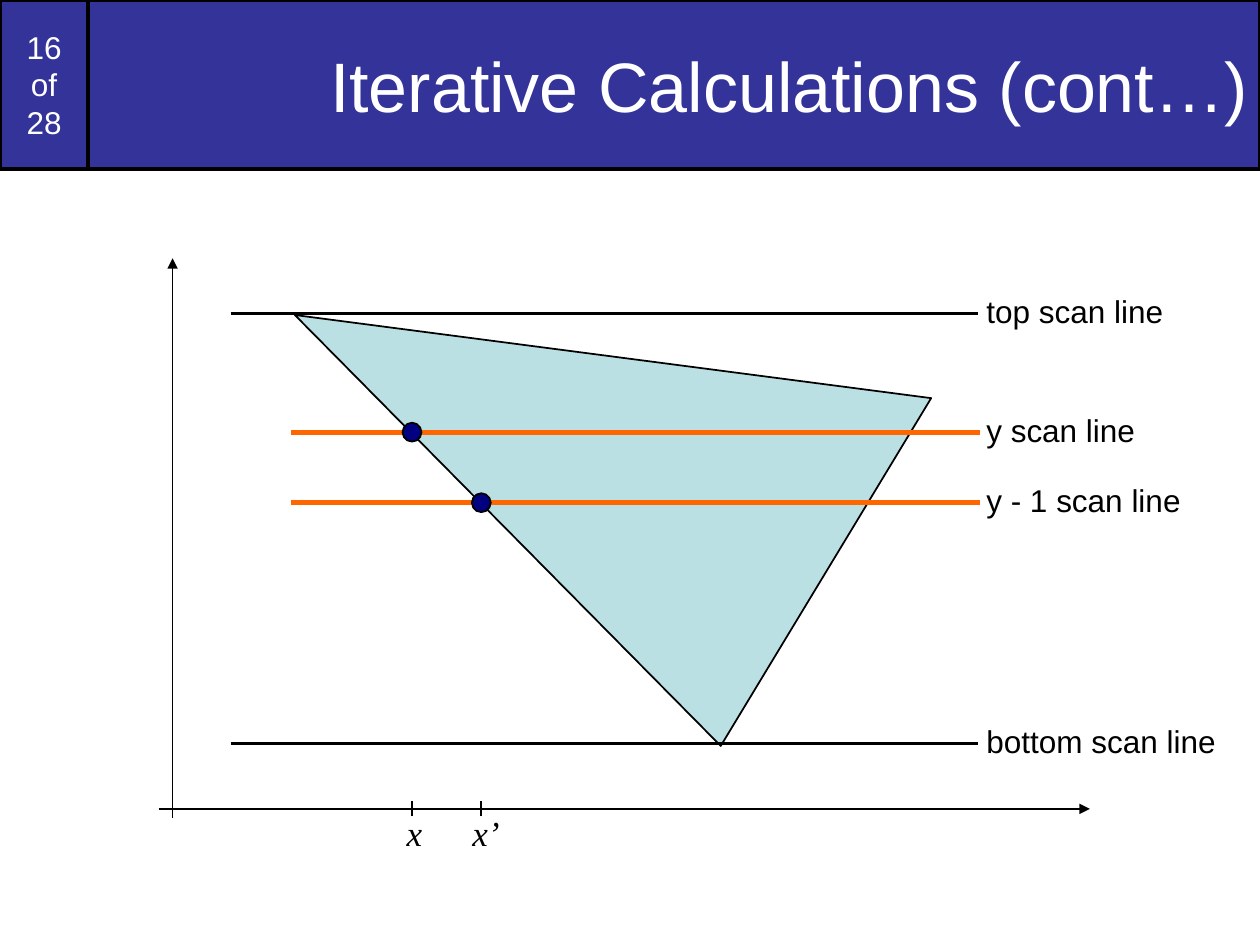
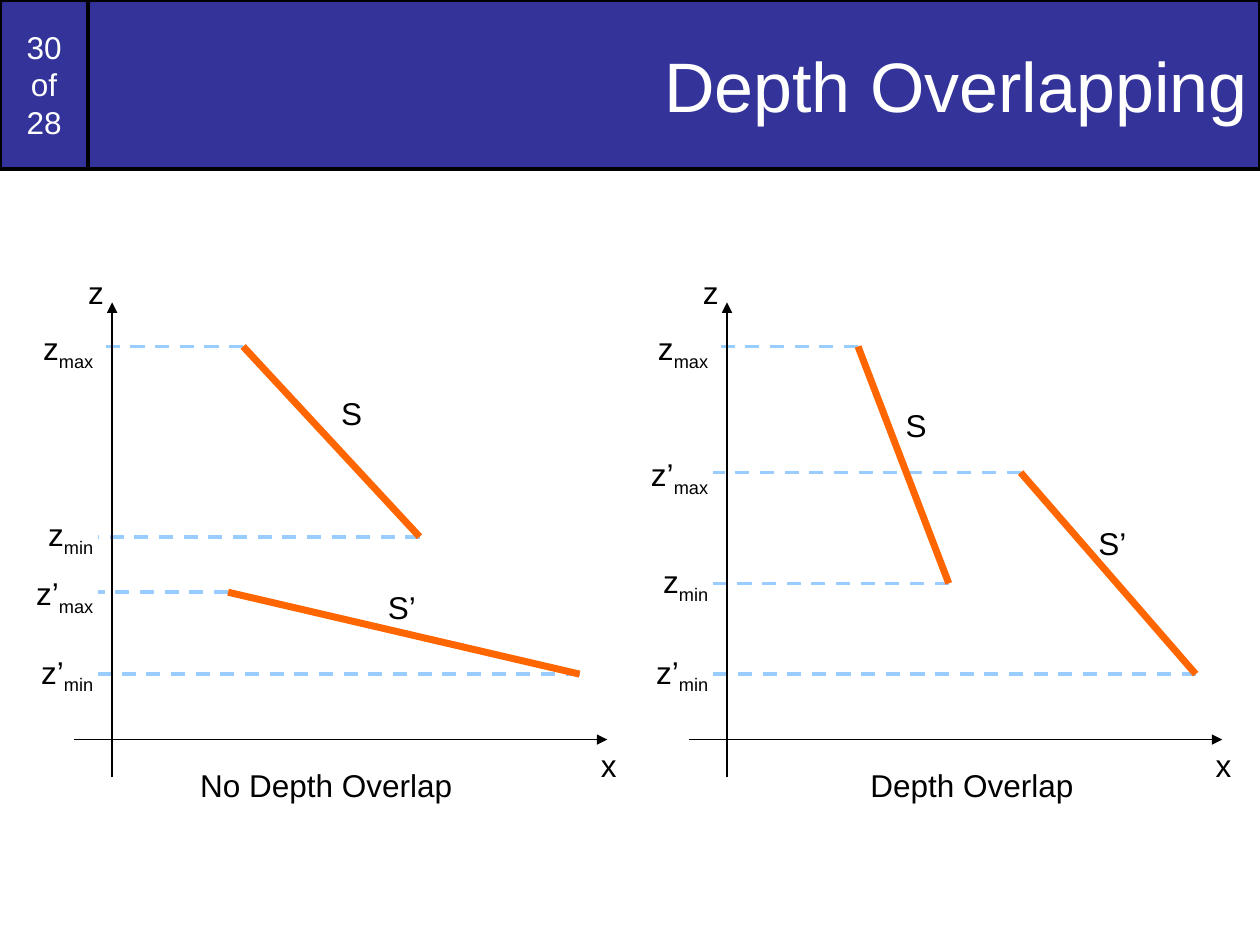
from lxml import etree
from pptx import Presentation
from pptx.dml.color import RGBColor
from pptx.enum.dml import MSO_LINE
from pptx.enum.shapes import MSO_CONNECTOR, MSO_SHAPE
from pptx.enum.text import MSO_ANCHOR, MSO_AUTO_SIZE, PP_ALIGN
from pptx.oxml.ns import qn
from pptx.util import Inches, Pt

STRAIGHT = MSO_CONNECTOR.STRAIGHT
RECTANGLE, OVAL = MSO_SHAPE.RECTANGLE, MSO_SHAPE.OVAL
LEFT, CENTER, RIGHT = PP_ALIGN.LEFT, PP_ALIGN.CENTER, PP_ALIGN.RIGHT
MIDDLE = MSO_ANCHOR.MIDDLE
NO_AUTOFIT = MSO_AUTO_SIZE.NONE
DASH = MSO_LINE.DASH

COLORS = {name: RGBColor.from_string(value) for name, value in {
    "band": "333399", "white": "FFFFFF", "black": "000000",
    "triangle": "BBE0E3", "point": "000080",
    "orange": "FF6600", "guide": "99CCFF"}.items()}

LABEL_FONT = {"name": "Arial", "size": Pt(18)}
TITLE_FONT = {"name": "Arial", "size": Pt(40)}
MATH_FONT = {"name": "Times New Roman", "size": Pt(20), "italic": True}

presentation = Presentation()
presentation.slide_width = Inches(10)
presentation.slide_height = Inches(7.5)
TITLE_ONLY = presentation.slide_layouts[5]

# The slide is a grid of 100 columns by 75 rows of square cells
CELL = presentation.slide_width // 100
BAND_HEIGHT = 13.4
PAGE_WIDTH = 7


def add_line(slide, start, end, color, width, dash=None, arrow=False):
    points = [round(value * CELL) for value in (*start, *end)]
    connector = slide.shapes.add_connector(STRAIGHT, *points)
    connector.line.color.rgb = COLORS[color]
    connector.line.width = Pt(width)
    if dash:
        connector.line.dash_style = dash
    if arrow:
        outline = connector.line._get_or_add_ln()
        etree.SubElement(outline, qn("a:tailEnd"), type="triangle")
    etree.SubElement(connector._element.spPr, qn("a:effectLst"))


def add_label(slide, text, left, top, width, subscript="",
              align=LEFT, font=LABEL_FONT):
    box = slide.shapes.add_textbox(
        *(round(value * CELL) for value in (left, top, width, 4)))
    box.text_frame.word_wrap = False
    paragraph = box.text_frame.paragraphs[0]
    paragraph.alignment = align
    for part in filter(None, (text, subscript)):
        run = paragraph.add_run()
        run.text = part
        run.font.color.rgb = COLORS["black"]
        for name, value in font.items():
            setattr(run.font, name, value)
    if subscript:
        run.font._element.set("baseline", "-25000")


# Title band and page counter on both slides
slides = []
for page, heading in ((16, "Iterative Calculations (cont…)"),
                      (30, "Depth Overlapping")):
    slide = presentation.slides.add_slide(TITLE_ONLY)
    slides.append(slide)
    counter = slide.shapes.add_shape(RECTANGLE, 0, 0, CELL, CELL)
    counter.shadow.inherit = False
    for shape, text, left, width, align, font in (
            (counter, f"{page}\vof\v28", 0, PAGE_WIDTH, CENTER, LABEL_FONT),
            (slide.shapes.title, heading, PAGE_WIDTH, 100 - PAGE_WIDTH,
             RIGHT, TITLE_FONT)):
        shape.left, shape.top = left * CELL, 0
        shape.width, shape.height = width * CELL, round(BAND_HEIGHT * CELL)
        shape.fill.solid()
        shape.fill.fore_color.rgb = COLORS["band"]
        shape.line.color.rgb = COLORS["black"]
        shape.line.width = Pt(2)
        frame = shape.text_frame
        frame.text = text
        for name, value in {"vertical_anchor": MIDDLE, "word_wrap": True,
                            "auto_size": NO_AUTOFIT}.items():
            setattr(frame, name, value)
        paragraph = frame.paragraphs[0]
        paragraph.alignment = align
        for run in paragraph.runs:
            run.font.color.rgb = COLORS["white"]
            for name, value in font.items():
                setattr(run.font, name, value)
scan_slide, depth_slide = slides

# Triangle crossed by the scan lines
corners = [(23.4, 25), (57.2, 59.2), (73.9, 31.6)]
vertices = [(round(x * CELL), round(y * CELL)) for x, y in corners]
builder = scan_slide.shapes.build_freeform(*vertices[0])
builder.add_line_segments(vertices[1:], close=True)
triangle = builder.convert_to_shape()
triangle.shadow.inherit = False
triangle.fill.solid()
triangle.fill.fore_color.rgb = COLORS["triangle"]
triangle.line.color.rgb = COLORS["black"]
triangle.line.width = Pt(1)

# Scan lines with their labels
SCAN_LABEL_WIDTH = 21
for text, row, start, end, color, weight in (
        ("top scan line", 24.9, 18.3, 77.6, "black", 1.75),
        ("bottom scan line", 59, 18.3, 77.6, "black", 1.75),
        ("y scan line", 34.3, 23.1, 77.8, "orange", 3),
        ("y - 1 scan line", 39.9, 23.1, 77.8, "orange", 3)):
    add_line(scan_slide, (start, row), (end, row), color, weight)
    add_label(scan_slide, text, 77.3, row - 2.2, SCAN_LABEL_WIDTH)

# Axes
add_line(scan_slide, (13.7, 64.9), (13.7, 20.5), "black", 1, arrow=True)
add_line(scan_slide, (12.6, 64.2), (86.5, 64.2), "black", 1, arrow=True)

# Edge points with ticks on the x axis
POINT_SIZE = 1.5
for text, column, row, label_left in (
        ("x", 32.7, 34.3, 31.3), ("x’", 38.2, 39.9, 36.5)):
    point = scan_slide.shapes.add_shape(
        OVAL, *(round(value * CELL) for value in (
            column - POINT_SIZE / 2, row - POINT_SIZE / 2,
            POINT_SIZE, POINT_SIZE)))
    point.shadow.inherit = False
    point.fill.solid()
    point.fill.fore_color.rgb = COLORS["point"]
    point.line.color.rgb = COLORS["black"]
    point.line.width = Pt(1)
    add_line(scan_slide, (column, 64.8), (column, 63.6), "black", 1)
    add_label(scan_slide, text, label_left, 63.9, 5, font=MATH_FONT)

# Two depth charts: surfaces as (name, start, end, name position),
# with columns counted from the z axis
charts = (
    (8.9, "No Depth Overlap", 14.9, (
        ("S", (10.4, 27.5), (24.4, 42.6), (17.2, 30.8)),
        ("S’", (9.2, 47), (37.1, 53.5), (20.9, 46.2)))),
    (57.7, "Depth Overlap", 68.1, (
        ("S", (10.4, 27.5), (17.6, 46.3), (13.2, 31.7)),
        ("S’", (23.3, 37.5), (37.2, 53.5), (28.5, 41.1)))))

for axis, caption, caption_left, surfaces in charts:
    # Dashed depth limits and their labels
    for name, start, end, _ in surfaces:
        depth = name.replace("S", "z")
        for (column, row), limit, rise in ((start, "max", 1.9),
                                           (end, "min", 2.2)):
            add_line(depth_slide, (axis + column, row), (axis - 1.1, row),
                     "guide", 2, dash=DASH)
            add_label(depth_slide, depth, axis - 8.5, row - rise, 8,
                      subscript=limit, align=RIGHT)

    # Axes
    add_line(depth_slide, (axis, 61.7), (axis, 24), "black", 1, arrow=True)
    add_line(depth_slide, (axis - 3, 58.7), (axis + 39.3, 58.7),
             "black", 1, arrow=True)
    add_label(depth_slide, "z", axis - 2.9, 21.2, 3.2)
    add_label(depth_slide, "x", axis + 37.8, 58.7, 3.2)

    # Surfaces and caption
    for name, start, end, position in surfaces:
        add_line(depth_slide, (axis + start[0], start[1]),
                 (axis + end[0], end[1]), "orange", 4)
        add_label(depth_slide, name, axis + position[0], position[1], 5)
    add_label(depth_slide, caption, caption_left, 60.3, 23)

presentation.save("out.pptx")
